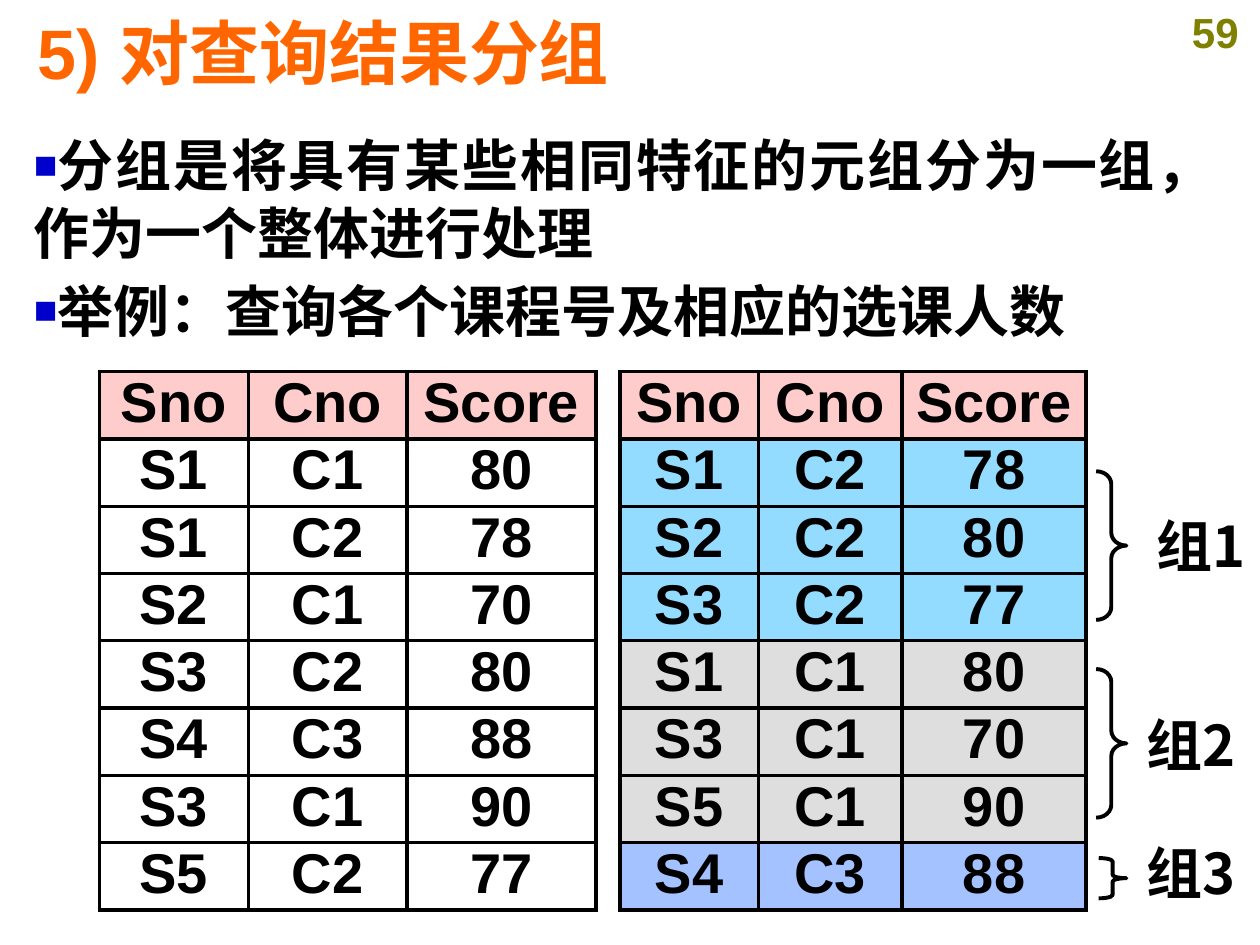
import pptx
import pptx.util
import pptx.dml.color
import pptx.enum.shapes
import pptx.enum.text
import pptx.oxml
import pptx.oxml.ns

Inches = pptx.util.Inches
Pt = pptx.util.Pt
ALIGN = pptx.enum.text.PP_ALIGN
ANCHOR = pptx.enum.text.MSO_ANCHOR

COLORS = {
    "title": "FF6600", "number": "808000", "text": "000000", "bullet": "0000CC",
    "header": "FFCCCC", "group 1": "93DCFF", "group 2": "DEDEDE", "group 3": "A3C2FF",
}
LATIN, CHINESE = "Arial", "Noto Sans CJK SC"

TITLE = "5) 对查询结果分组"
POINTS = [
    "分组是将具有某些相同特征的元组分为一组，作为一个整体进行处理",
    "举例：查询各个课程号及相应的选课人数",
]
HEADER = ("Sno", "Cno", "Score")
SCORES = [
    ("S1", "C1", "80"), ("S1", "C2", "78"), ("S2", "C1", "70"), ("S3", "C2", "80"),
    ("S4", "C3", "88"), ("S3", "C1", "90"), ("S5", "C2", "77"),
]
GROUPED_SCORES = [
    ("S1", "C2", "78"), ("S2", "C2", "80"), ("S3", "C2", "77"),
    ("S1", "C1", "80"), ("S3", "C1", "70"), ("S5", "C1", "90"), ("S4", "C3", "88"),
]
GROUP_FILLS = ["group 1"] * 3 + ["group 2"] * 3 + ["group 3"]
TABLES = [
    (0.79, (1.18, 1.26, 1.5), SCORES, [None] * len(SCORES)),
    (4.92, (1.1, 1.14, 1.46), GROUPED_SCORES, GROUP_FILLS),
]
TABLE_TOP, ROW_HEIGHT = 2.95, 0.53
BRACES = [
    (8.7, 3.74, 0.24, 1.18, 0.42),
    (8.7, 5.31, 0.24, 1.18, 0.42),
    (8.72, 6.81, 0.22, 0.32, 0.12),
]
LABELS = [("组1", 9.1, 4.05), ("组2", 9.02, 5.63), ("组3", 9.02, 6.65)]


def rgb(name):
    return pptx.dml.color.RGBColor.from_string(COLORS[name])


def add_xml(parent, xml):
    namespace = pptx.oxml.ns.nsdecls("a")
    parent.append(pptx.oxml.parse_xml(xml.replace(" ", f" {namespace} ", 1)))


def format_text(paragraph, size, color="text", font=LATIN, align=ALIGN.CENTER):
    paragraph.alignment = align
    for run in paragraph.runs:
        run.font.size = Pt(size)
        run.font.bold = True
        run.font.name = font
        run.font.color.rgb = rgb(color)
        add_xml(run.font._element, f'<a:ea typeface="{font}"/>')


def add_text(slide, box, text, size, color="text", font=LATIN, wrap=True):
    shape = slide.shapes.add_textbox(*map(Inches, box))
    frame = shape.text_frame
    frame.word_wrap = wrap
    frame.text = text
    for paragraph in frame.paragraphs:
        format_text(paragraph, size, color, font)
    return frame


def add_bullet(paragraph):
    properties = paragraph._p.get_or_add_pPr()
    properties.set("marL", "0")
    properties.set("indent", "0")
    add_xml(properties, f'<a:buClr ><a:srgbClr val="{COLORS["bullet"]}"/></a:buClr>')
    add_xml(properties, '<a:buSzPct val="70000"/>')
    add_xml(properties, f'<a:buFont typeface="{LATIN}"/>')
    add_xml(properties, '<a:buChar char="■"/>')


def format_cell(cell, text, fill):
    cell.margin_left = cell.margin_right = cell.margin_top = cell.margin_bottom = 0
    cell.text = text
    format_text(cell.text_frame.paragraphs[0], 32)
    properties = cell._tc.get_or_add_tcPr()
    for side in ("lnL", "lnR", "lnT", "lnB"):
        add_xml(properties, f'<a:{side} w="{Pt(2.25)}"><a:solidFill><a:srgbClr '
                            f'val="{COLORS["text"]}"/></a:solidFill></a:{side}>')
    if fill:
        cell.fill.solid()
        cell.fill.fore_color.rgb = rgb(fill)
    else:
        cell.fill.background()


def add_scores(slide, left, widths, records, fills):
    rows = [HEADER] + records
    frame = slide.shapes.add_table(
        len(rows), len(HEADER), Inches(left), Inches(TABLE_TOP),
        Inches(sum(widths)), Inches(ROW_HEIGHT * len(rows)))
    table = frame.table
    table.first_row = table.horz_banding = False
    for column, width in zip(table.columns, widths):
        column.width = Inches(width)
    for row, values, fill in zip(table.rows, rows, ["header"] + fills):
        row.height = Inches(ROW_HEIGHT)
        for cell, value in zip(row.cells, values):
            format_cell(cell, value, fill)


def add_brace(slide, left, top, width, height, curve):
    brace = slide.shapes.add_shape(
        pptx.enum.shapes.MSO_SHAPE.RIGHT_BRACE, *map(Inches, (left, top, width, height)))
    brace.adjustments[0] = curve
    brace.adjustments[1] = 0.5
    brace.shadow.inherit = False
    brace.fill.background()
    brace.line.color.rgb = rgb("text")
    brace.line.width = Pt(2.25)


def add_label(slide, text, left, top):
    frame = add_text(slide, (left, top, 0.87, 0.55), text, 32, font=CHINESE, wrap=False)
    frame.margin_left = frame.margin_right = 0
    frame.vertical_anchor = ANCHOR.MIDDLE


def main():
    presentation = pptx.Presentation()
    presentation.slide_width = Inches(10)
    presentation.slide_height = Inches(7.5)
    slide = presentation.slides.add_slide(presentation.slide_layouts[5])

    title = slide.shapes.title
    title.left, title.top, title.width, title.height = map(Inches, (0.2, 0.13, 9.47, 0.55))
    title.text_frame.text = TITLE
    title.text_frame.vertical_anchor = ANCHOR.MIDDLE
    format_text(title.text_frame.paragraphs[0], 40, "title", align=ALIGN.LEFT)

    add_text(slide, (9.29, 0, 0.71, 0.5), "59", 24, "number")

    body = add_text(slide, (0.17, 0.99, 9.56, 1.89), "\n".join(POINTS), 32)
    for index, paragraph in enumerate(body.paragraphs):
        paragraph.alignment = ALIGN.JUSTIFY
        if index:
            paragraph.space_before = Pt(6.4)
        add_bullet(paragraph)

    for table in TABLES:
        add_scores(slide, *table)
    for brace in BRACES:
        add_brace(slide, *brace)
    for label in LABELS:
        add_label(slide, *label)

    presentation.save("out.pptx")


if __name__ == "__main__":
    main()
